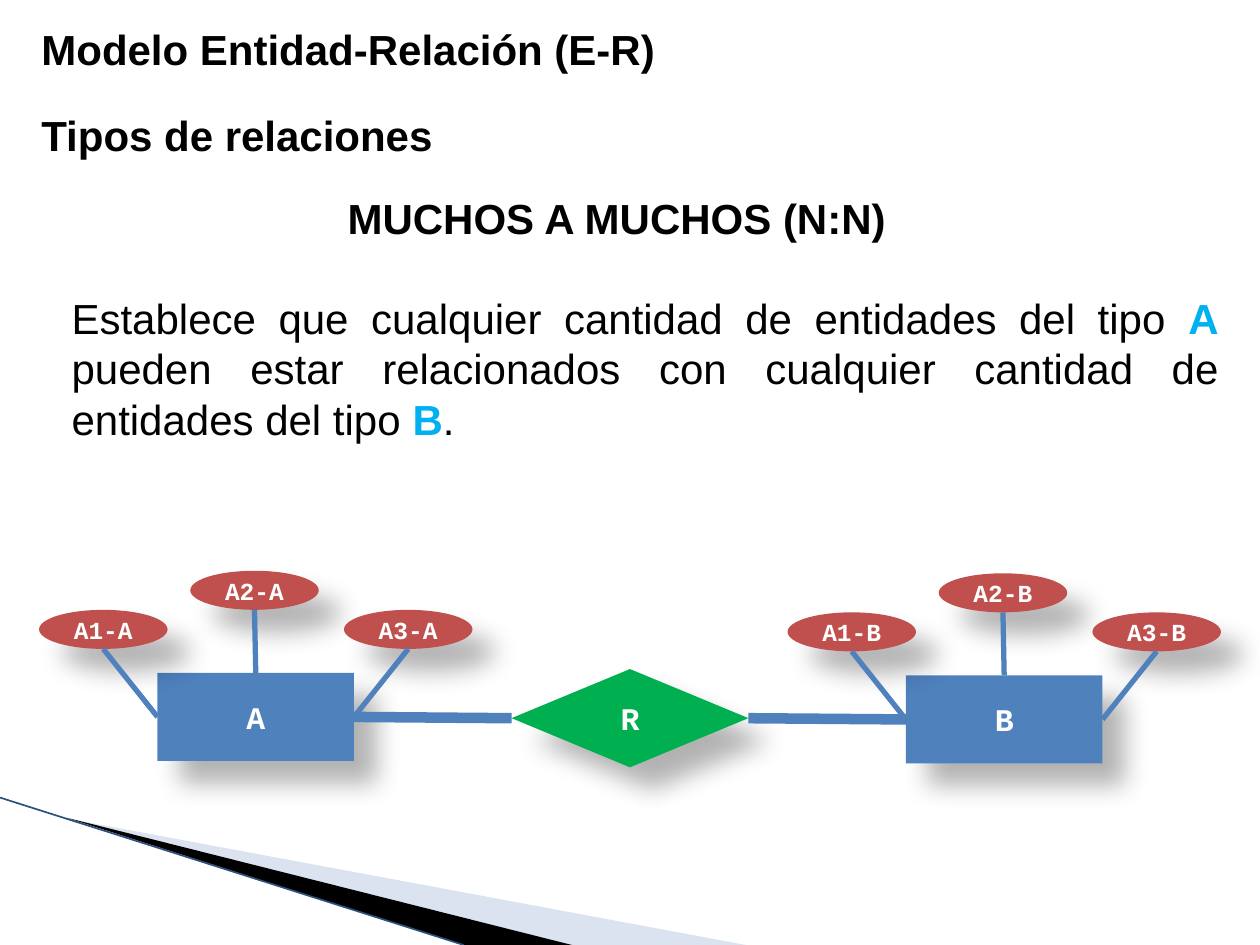
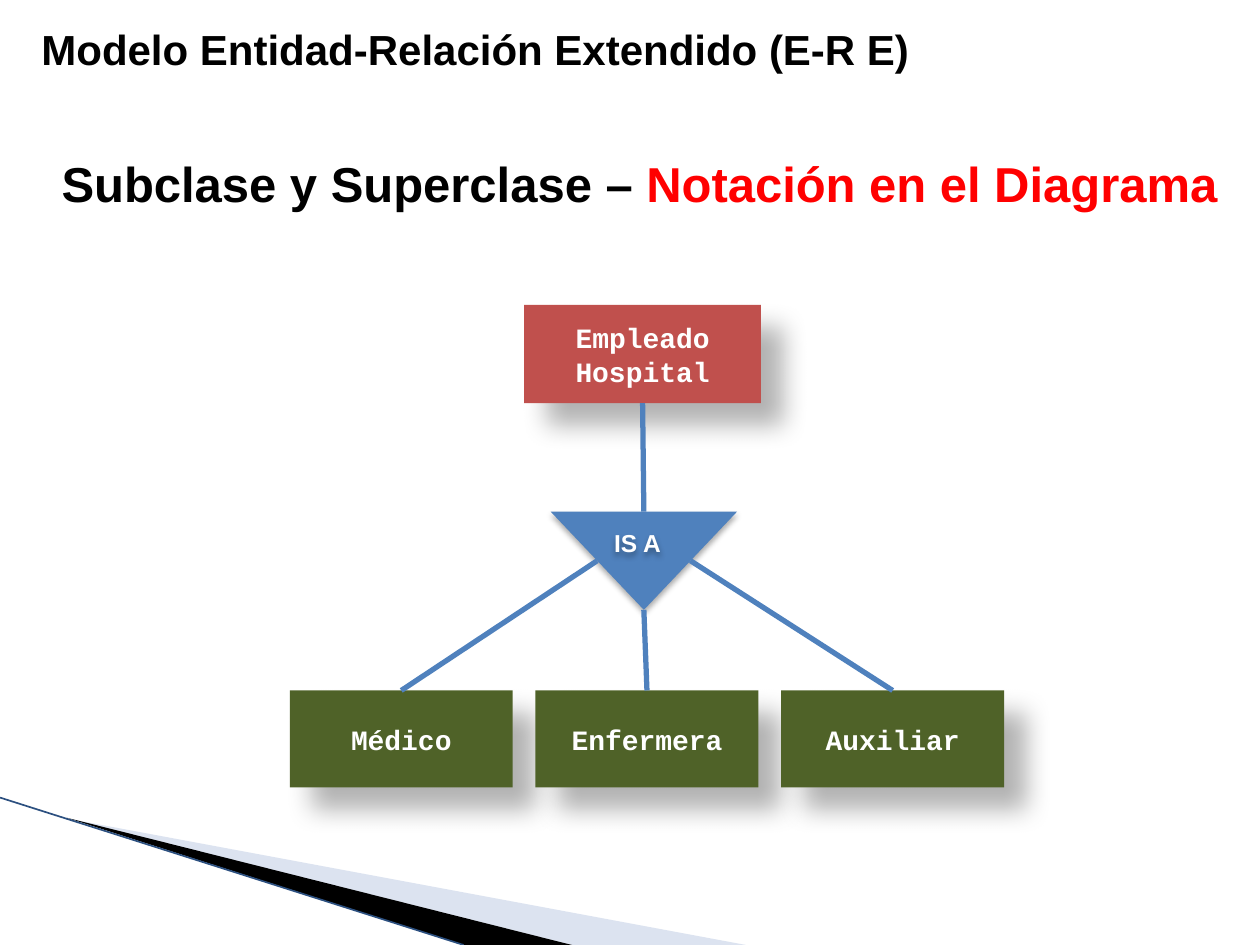
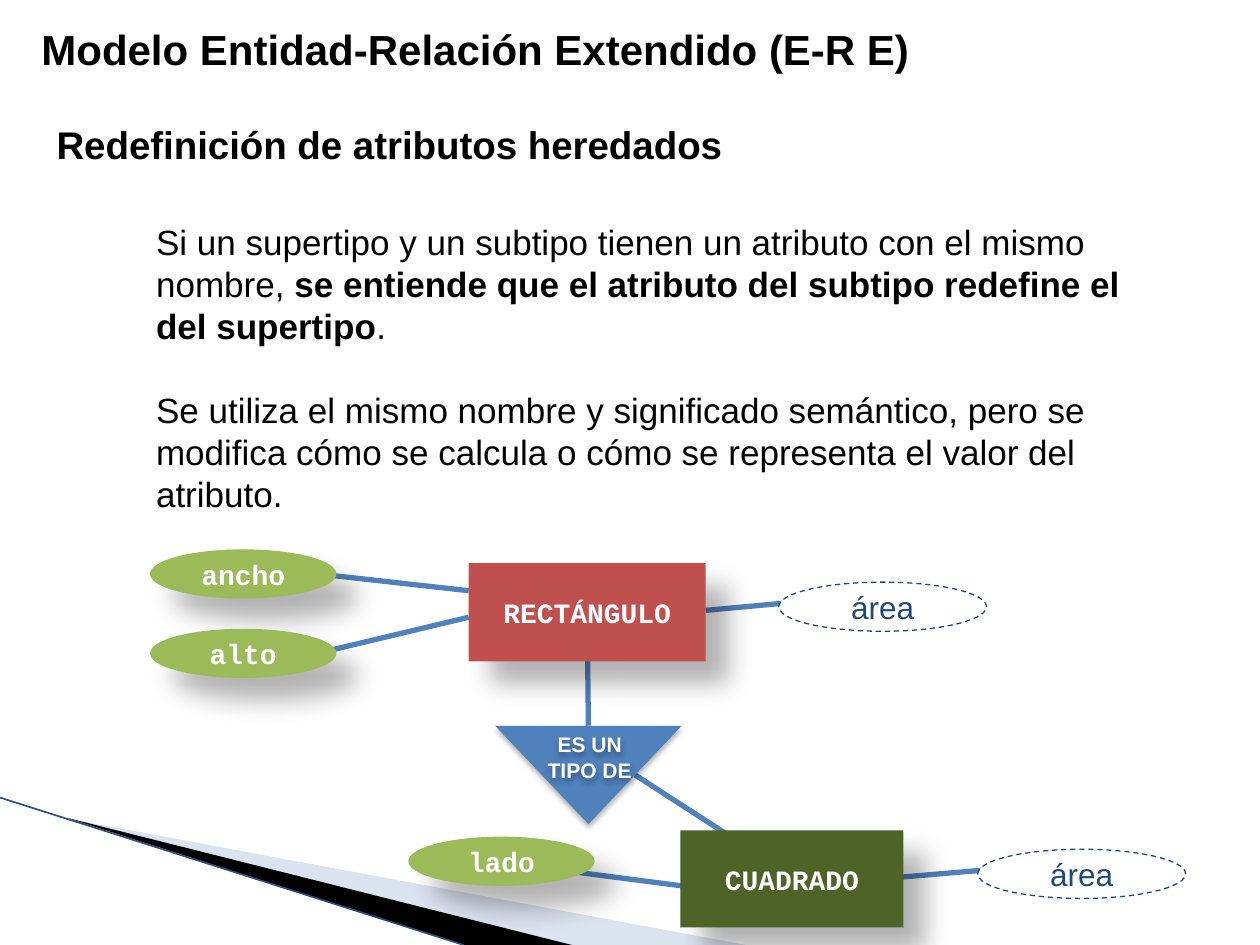
from dataclasses import dataclass
from typing import NamedTuple

from lxml import etree
from pptx import Presentation
from pptx import util as u
from pptx.dml.color import RGBColor
from pptx.enum import dml, shapes, text
from pptx.oxml import ns

CELL = u.Inches(0.1)  # the slide is a grid of 100 columns by 75 rows
COLUMNS, ROWS = 100, 75
BLACK, WHITE, RED, CYAN = "000000", "FFFFFF", "FF0000", "00B0F0"
BLUE, BRICK, GREEN, OLIVE, LIME, NAVY = "4F81BD", "C0504D", "00B050", "4F6228", "9BBB59", "1F497D"
PALE_BLUE, EDGE_BLUE = "DCE3F0", "2C5080"
SANS, MONO = "Arial", "Courier New"
LINE_HEIGHT = 1.2
EXTENDED_TITLE = "Modelo Entidad-Relación Extendido (E-R E)"

Point = tuple[float, float]


class Shadow(NamedTuple):
    alpha: int
    blur: float
    distance: float
    angle: int


class Run(NamedTuple):
    words: str
    color: str = BLACK
    bold: bool = True


class Style(NamedTuple):
    kind: shapes.MSO_SHAPE
    width: float
    height: float
    fill: str
    size: float = 16
    font: str = MONO
    color: str = WHITE
    bold: bool = True
    shadow: Shadow | None = Shadow(30, 15, 18, 45)
    dashed: bool = False
    rotation: int = 0


@dataclass(frozen=True)
class Node:
    style: Style
    left: float
    top: float
    label: str = ""

    def at(self, across: float, down: float) -> Point:
        """Point at a share of the node's width and height."""
        return self.left + across * self.style.width, self.top + down * self.style.height


class Edge(NamedTuple):
    start: Point
    end: Point
    width: float = 3
    color: str = BLUE


FLAT_SHADOW = Shadow(32, 3.5, 2.2, 90)
BOX = shapes.MSO_SHAPE.RECTANGLE
OVAL = shapes.MSO_SHAPE.OVAL
ENTITY = Style(BOX, 15.6, 7, BLUE, size=18)
RELATION = Style(shapes.MSO_SHAPE.FLOWCHART_DECISION, 18.8, 7.8, GREEN, size=18)
ATTRIBUTE = Style(OVAL, 10.2, 3.1, BRICK, size=14)
SUPERCLASS = Style(BOX, 18.8, 7.8, BRICK)
SUBCLASS = Style(BOX, 17.7, 7.7, OLIVE)
OWN_ATTRIBUTE = Style(OVAL, 14.8, 3.9, LIME)
DERIVED = Style(OVAL, 16.5, 3.9, WHITE, 18, SANS, NAVY, False, None, True)
IS_A = Style(shapes.MSO_SHAPE.ISOSCELES_TRIANGLE, 14.8, 7.8, BLUE, shadow=FLAT_SHADOW, rotation=180)


def cells(*counts: float) -> list[int]:
    return [round(count * CELL) for count in counts]


def rgb(color: str) -> RGBColor:
    return RGBColor.from_string(color)


def set_all(target, values: dict) -> None:
    for name, value in values.items():
        setattr(target, name, value)


def set_shadow(shape, shadow: Shadow | None) -> None:
    """Give the shape an outer shadow, or an empty effect list."""
    effects = etree.SubElement(shape._element.spPr, ns.qn("a:effectLst"))
    if shadow is None:
        return
    outer = etree.SubElement(effects, ns.qn("a:outerShdw"), {
        "blurRad": str(u.Pt(shadow.blur)), "dist": str(u.Pt(shadow.distance)),
        "dir": str(shadow.angle * 60000), "algn": "tl", "rotWithShape": "0"})
    color = etree.SubElement(outer, ns.qn("a:srgbClr"), val=BLACK)
    etree.SubElement(color, ns.qn("a:alpha"), val=str(shadow.alpha * 1000))


def write_paragraph(paragraph, runs: list[Run], size: float, font: str,
                    align: text.PP_ALIGN) -> None:
    set_all(paragraph, {"alignment": align, "line_spacing": u.Pt(size * LINE_HEIGHT)})
    for words, color, bold in runs:
        run = paragraph.add_run()
        run.text = words
        set_all(run.font, {"name": font, "size": u.Pt(size), "bold": bold})
        run.font.color.rgb = rgb(color)


def add_text(slide, left: float, top: float, width: float, height: float,
             paragraphs: list[list[Run]], size: float = 24, wrap: bool = False,
             align: text.PP_ALIGN = text.PP_ALIGN.LEFT, gap: float = 0):
    box = slide.shapes.add_textbox(*cells(left, top, width, height))
    frame = box.text_frame
    set_all(frame, {"word_wrap": wrap, "auto_size": text.MSO_AUTO_SIZE.SHAPE_TO_FIT_TEXT})
    for index, runs in enumerate(paragraphs):
        paragraph = frame.add_paragraph() if index else frame.paragraphs[0]
        write_paragraph(paragraph, runs, size, SANS, align)
        if index:
            paragraph.space_before = u.Pt(gap)
    return box


def add_node(slide, node: Node) -> None:
    style = node.style
    shape = slide.shapes.add_shape(
        style.kind, *cells(node.left, node.top, style.width, style.height))
    shape.rotation = style.rotation
    shape.fill.solid()
    shape.fill.fore_color.rgb = rgb(style.fill)
    if style.dashed:
        shape.line.color.rgb = rgb(style.color)
        set_all(shape.line, {"width": u.Pt(0.75), "dash_style": dml.MSO_LINE.DASH})
    else:
        shape.line.fill.background()
    set_shadow(shape, style.shadow)
    if node.label:
        frame = shape.text_frame
        set_all(frame, {"word_wrap": not style.dashed, "vertical_anchor": text.MSO_ANCHOR.MIDDLE})
        write_paragraph(frame.paragraphs[0], [Run(node.label, style.color, style.bold)],
                        style.size, style.font, text.PP_ALIGN.CENTER)


def add_edge(slide, edge: Edge) -> None:
    line = slide.shapes.add_connector(
        shapes.MSO_CONNECTOR.STRAIGHT, *cells(*edge.start, *edge.end))
    line.line.color.rgb = rgb(edge.color)
    line.line.width = u.Pt(edge.width)
    set_shadow(line, None)


def add_diagram(slide, nodes: list[Node], edges: list[Edge], edges_behind: bool = False) -> None:
    layers = [(add_node, nodes), (add_edge, edges)]
    for draw, items in reversed(layers) if edges_behind else layers:
        for item in items:
            draw(slide, item)


def add_triangle_label(slide, left: float, top: float, width: float, height: float,
                       lines: list[str], size: float) -> None:
    box = add_text(slide, left, top, width, height, [[Run(line, WHITE)] for line in lines],
                   size, align=text.PP_ALIGN.CENTER)
    set_shadow(box, FLAT_SHADOW)


def add_wedge(slide, points: list[Point], color: str) -> None:
    start, *others = [tuple(cells(*point)) for point in points]
    builder = slide.shapes.build_freeform(*start)
    builder.add_line_segments(others)
    wedge = builder.convert_to_shape()
    wedge.fill.solid()
    wedge.fill.fore_color.rgb = rgb(color)
    wedge.line.fill.background()
    set_shadow(wedge, None)


def add_base_slide(presentation, title: str, title_width: float):
    """Add a blank slide with the corner wedges and the title."""
    slide = presentation.slides.add_slide(presentation.slide_layouts[6])
    add_wedge(slide, [(5.5, 65), (59.2, ROWS), (45.4, ROWS)], PALE_BLUE)
    add_wedge(slide, [(5.3, 64.9), (45.4, ROWS), (36.8, ROWS)], BLACK)
    add_edge(slide, Edge((0, 63.3), (36.8, ROWS), 0.95, EDGE_BLUE))
    add_text(slide, 2.3, 1.4, title_width, 5.1, [[Run(title)]])
    return slide


def add_many_to_many(presentation) -> None:
    slide = add_base_slide(presentation, "Modelo Entidad-Relación (E-R)", 51.2)
    add_text(slide, 2.3, 8.2, 33.4, 5.1, [[Run("Tipos de relaciones")]])
    add_text(slide, 26.6, 14.8, 45.2, 5.1, [[Run("MUCHOS A MUCHOS (N:N)")]])
    add_text(slide, 4.7, 22.7, 93, 13.1, [[
        Run("Establece que cualquier cantidad de entidades del tipo ", bold=False),
        Run("A", CYAN),
        Run(" pueden estar relacionados con cualquier cantidad de entidades del tipo ", bold=False),
        Run("B", CYAN),
        Run(".", bold=False),
    ]], wrap=True, align=text.PP_ALIGN.JUSTIFY)

    relation = Node(RELATION, 40.6, 53.1, "R")
    entities = [Node(ENTITY, 12.5, 53.4, "A"), Node(ENTITY, 71.9, 53.6, "B")]
    nodes, edges = [*entities, relation], []
    for entity, side in zip(entities, (0, 1)):
        edges.append(Edge(relation.at(side, 0.5), entity.at(1 - side, 0.5), 6))
        offsets = [(-9.4, -5), (2.6, -8.1), (14.8, -5)]
        targets = [(0, 0.5), (0.5, 0), (1, 0.5)]
        for number, ((across, up), target) in enumerate(zip(offsets, targets), 1):
            attribute = Node(ATTRIBUTE, entity.left + across, entity.top + up,
                             f"A{number}-{entity.label}")
            nodes.append(attribute)
            edges.append(Edge(attribute.at(0.5, 1), entity.at(*target)))
    add_diagram(slide, nodes, edges)


def add_subclass_notation(presentation) -> None:
    slide = add_base_slide(presentation, EXTENDED_TITLE, 71.5)
    add_text(slide, 3.9, 11.7, 94.9, 5.7, [[
        Run("Subclase y Superclase – "), Run("Notación en el Diagrama", RED)]], 28)

    hospital = Node(SUPERCLASS, 41.6, 24.2, "Empleado Hospital")
    triangle = Node(IS_A, 43.7, 40.6)
    jobs = [Node(SUBCLASS, 23 + 19.5 * index, 54.8, label)
            for index, label in enumerate(["Médico", "Enfermera", "Auxiliar"])]
    exits = [(0.25, 0.5), (0.5, 1), (0.75, 0.5)]
    edges = [Edge(triangle.at(*way), job.at(0.5, 0)) for way, job in zip(exits, jobs)]
    edges.append(Edge(hospital.at(0.5, 1), triangle.at(0.5, 0)))
    add_diagram(slide, [hospital, triangle, *jobs], edges)
    add_triangle_label(slide, 47.7, 41.4, 5.8, 3.4, ["IS A"], 14)


def add_inherited_attributes(presentation) -> None:
    slide = add_base_slide(presentation, EXTENDED_TITLE, 71.5)
    add_text(slide, 3.5, 9.1, 55.1, 4.7, [[Run("Redefinición de atributos heredados")]], 22)
    add_text(slide, 11.4, 17, 79.5, 24.3, [
        [Run("Si un supertipo y un subtipo tienen un atributo con el mismo nombre, ", bold=False),
         Run("se entiende que el atributo del subtipo redefine el del supertipo"),
         Run(".", bold=False)],
        [Run("Se utiliza el mismo nombre y significado semántico, pero se modifica cómo se "
             "calcula o cómo se representa el valor del atributo.", bold=False)],
    ], 20, wrap=True, gap=24)

    rectangle = Node(SUPERCLASS, 37.2, 44.7, "RECTÁNGULO")
    square = Node(SUBCLASS, 54, 65.9, "CUADRADO")
    triangle = Node(IS_A, 39.3, 57.6)
    width = Node(OWN_ATTRIBUTE, 11.9, 43.6, "ancho")
    height = Node(OWN_ATTRIBUTE, 11.9, 49.9, "alto")
    side = Node(OWN_ATTRIBUTE, 32.4, 66.4, "lado")
    area = Node(DERIVED, 61.8, 46.2, "área")
    square_area = Node(DERIVED, 77.6, 67.4, "área")
    edges = [
        Edge(width.at(0.9, 0.5), rectangle.at(0, 0.28)),
        Edge(height.at(0.9, 0.5), rectangle.at(0, 0.55)),
        Edge(rectangle.at(1, 0.48), area.at(0.1, 0.4)),
        Edge(rectangle.at(0.5, 0.5), triangle.at(0.5, 0)),
        Edge(triangle.at(0.75, 0.5), square.at(0.7, 0.77)),
        Edge(side.at(0.75, 0.65), square.at(0.1, 0.6)),
        Edge(square.at(0.9, 0.5), square_area.at(0.1, 0.4)),
    ]
    add_diagram(slide, [triangle, rectangle, square, width, height, area, side, square_area],
                edges, edges_behind=True)
    add_triangle_label(slide, 42.4, 57.6, 8.8, 5, ["ES UN", "TIPO DE"], 12)


def main() -> None:
    presentation = Presentation()
    set_all(presentation, {"slide_width": COLUMNS * CELL, "slide_height": ROWS * CELL})
    for add_slide in (add_many_to_many, add_subclass_notation, add_inherited_attributes):
        add_slide(presentation)
    presentation.save("out.pptx")


if __name__ == "__main__":
    main()
